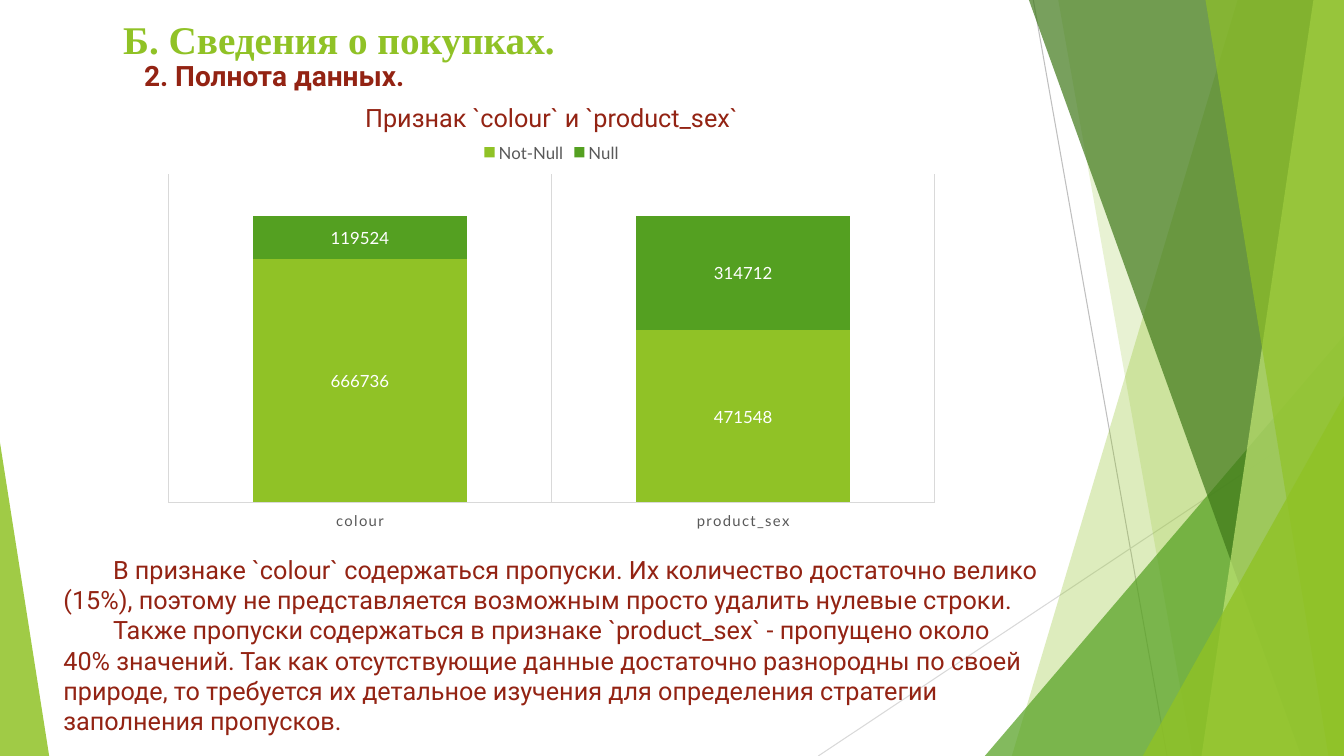
from lxml.etree import SubElement
from pptx import Presentation
from pptx.chart.data import CategoryChartData
from pptx.dml.color import RGBColor
from pptx.enum.chart import XL_CHART_TYPE as ChartType
from pptx.enum.chart import XL_LABEL_POSITION as LabelPosition
from pptx.enum.chart import XL_LEGEND_POSITION as LegendPosition
from pptx.enum.chart import XL_TICK_LABEL_POSITION as TickLabels
from pptx.enum.chart import XL_TICK_MARK as TickMark
from pptx.enum.shapes import MSO_CONNECTOR as Connector
from pptx.enum.shapes import MSO_SHAPE as Shape
from pptx.enum.text import MSO_ANCHOR as Anchor
from pptx.enum.text import MSO_AUTO_SIZE as AutoSize
from pptx.enum.text import PP_ALIGN as Align
from pptx.oxml.ns import qn
from pptx.util import Cm, Pt

WIDTH, HEIGHT = 33.87, 19.05
COLORS = {
    "lime": "90C226", "green": "54A021", "forest": "3F7819", "pale": "C0E474",
    "brick": "932313", "gray": "595959", "silver": "BFBFBF", "rule": "D9D9D9",
    "white": "FFFFFF", "black": "000000",
}


def rgb(name):
    """Return the named colour."""
    return RGBColor.from_string(COLORS[name])


def style_font(font, face, size, color, bold=False):
    """Set face, size, colour and weight of a font."""
    font.name, font.size, font.bold = face, Pt(size), bold
    font.color.rgb = rgb(color)


def style_facet(shape, color, opacity):
    """Fill a shape with a translucent colour and drop its outline."""
    shape.shadow.inherit = False
    shape.fill.solid()
    shape.fill.fore_color.rgb = rgb(color)
    shape.line.fill.background()
    color_node = shape.fill._xPr.find(qn("a:solidFill"))[0]
    SubElement(color_node, qn("a:alpha"), val=str(opacity * 1000))


def add_ray(page, start, end, color):
    """Draw a thin straight line."""
    ray = page.shapes.add_connector(Connector.STRAIGHT, *map(Cm, start + end))
    ray.line.color.rgb = rgb(color)
    ray.line.width = Pt(0.75)
    SubElement(ray._element.spPr, qn("a:effectLst"))


def add_band(page, top_left, bottom_left, color, opacity):
    """Draw a full-height band that reaches the right edge."""
    corners = [(WIDTH, 0), (WIDTH, HEIGHT), (bottom_left, HEIGHT)]
    builder = page.shapes.build_freeform(Cm(top_left), 0)
    builder.add_line_segments([(Cm(x), Cm(y)) for x, y in corners], close=True)
    style_facet(builder.convert_to_shape(), color, opacity)


def add_corner(page, left, width, height, apex, color, opacity):
    """Draw a right triangle standing on the bottom edge."""
    corner = page.shapes.add_shape(
        Shape.ISOSCELES_TRIANGLE, Cm(left), Cm(HEIGHT - height), Cm(width), Cm(height))
    corner.adjustments[0] = apex
    style_facet(corner, color, opacity)


def add_backdrop(page):
    """Draw the faceted decoration."""
    add_ray(page, (26.04, 0), (29.41, HEIGHT), "silver")
    add_ray(page, (WIDTH, 10.24), (20.62, HEIGHT), "rule")
    add_band(page, 31.19, 25.5, "lime", 30)
    add_band(page, 26.67, 30.05, "lime", 20)
    add_corner(page, 24.82, 9.05, 10.59, 1, "green", 72)
    add_band(page, 25.93, 32.79, "forest", 70)
    add_band(page, 33.1, 30.28, "pale", 70)
    add_band(page, 30.38, 33.48, "lime", 65)
    add_corner(page, 28.8, 5.07, 9.07, 1, "lime", 80)
    add_corner(page, 0, 1.24, 7.9, 0, "lime", 85)


def place(box, left, top, width, height):
    """Move and size a box."""
    box.left, box.top, box.width, box.height = map(Cm, (left, top, width, height))


def write(box, lines, face, size, color, bold=False, align=Align.LEFT, indent=0, anchor=Anchor.TOP):
    """Fill a box with unbulleted paragraphs of one style."""
    frame = box.text_frame
    frame.word_wrap = True
    frame.auto_size = AutoSize.NONE
    frame.vertical_anchor = anchor
    frame.text = "\n".join(lines)
    for para in frame.paragraphs:
        properties = para._p.get_or_add_pPr()
        properties.set("marL", "0")
        properties.set("indent", str(Cm(indent)))
        SubElement(properties, qn("a:buNone"))
        para.alignment = align
        para.space_before = Pt(0)
        for span in para.runs:
            style_font(span.font, face, size, color, bold)


def add_text(page, area, lines, **style):
    """Add a Roboto text box."""
    box = page.shapes.add_textbox(*map(Cm, area))
    write(box, lines, "Roboto", color="brick", **style)


def style_axes(chart):
    """Hide the value axis and format the category axis."""
    values, categories = chart.value_axis, chart.category_axis
    values.visible = False
    values.has_major_gridlines = False
    values.minimum_scale, values.maximum_scale = 0, 900000
    categories.has_major_gridlines = True
    categories.major_tick_mark = TickMark.NONE
    categories.tick_label_position = TickLabels.LOW
    style_font(categories.tick_labels.font, "Lato", 10.6, "gray")
    categories.tick_labels.font._element.set("spc", "100")
    for line in (categories.format.line, categories.major_gridlines.format.line):
        line.color.rgb = rgb("rule")
        line.width = Pt(0.75)


def add_completeness_chart(page):
    """Add the stacked columns of filled and missing values."""
    data = CategoryChartData()
    data.categories = ["colour", "product_sex"]
    data.add_series("Not-Null", (666736, 471548))
    data.add_series("Null", (119524, 314712))
    area = map(Cm, (3.84, 3.3, 20.12, 10.26))
    chart = page.shapes.add_chart(ChartType.COLUMN_STACKED, *area, data).chart
    style_font(chart.font, "Lato", 10, "black")
    chart.has_title = False
    chart.has_legend = True
    chart.legend.position = LegendPosition.TOP
    chart.legend.include_in_layout = False
    style_font(chart.legend.font, "Lato", 12, "gray")
    style_axes(chart)
    plot = chart.plots[0]
    plot.gap_width, plot.overlap, plot.vary_by_categories = 79, 100, False
    for series, color in zip(plot.series, ("lime", "green")):
        series.format.fill.solid()
        series.format.fill.fore_color.rgb = rgb(color)
        labels = series.data_labels
        labels.show_value = True
        labels.position = LabelPosition.CENTER
        style_font(labels.font, "Lato", 12, "white")


def main():
    """Build and save the slide."""
    deck = Presentation()
    deck.slide_width, deck.slide_height = Cm(WIDTH), Cm(HEIGHT)
    page = deck.slides.add_slide(deck.slide_layouts[1])
    add_backdrop(page)

    title, heading = page.placeholders
    place(title, 1.6, 0.1, 23.88, 1.6)
    write(title, ["Б. Сведения о покупках."], "Times New Roman", 28, "lime",
          bold=True, indent=1.25, anchor=Anchor.BOTTOM)
    title.text_frame.paragraphs[0].line_spacing = 1.15
    place(heading, 3.84, 2.41, 20.12, 1.07)
    write(heading, ["Признак `colour` и `product_sex`"], "Roboto", 18, "brick",
          align=Align.CENTER, anchor=Anchor.BOTTOM)

    add_completeness_chart(page)
    add_text(page, (1.35, 13.84, 25.12, 4.11), [
        "В признаке `colour` содержаться пропуски. Их количество достаточно велико (15%), "
        "поэтому не представляется возможным просто удалить нулевые строки.",
        "Также пропуски содержаться в признаке `product_sex` - пропущено около 40% значений. "
        "Так как отсутствующие данные достаточно разнородны по своей природе, то требуется "
        "их детальное изучения для определения стратегии заполнения пропусков.",
    ], size=18, indent=1.25)
    add_text(page, (3.38, 1.35, 11.66, 1.12), ["2. Полнота данных."], size=20, bold=True)
    deck.save("out.pptx")


if __name__ == "__main__":
    main()
